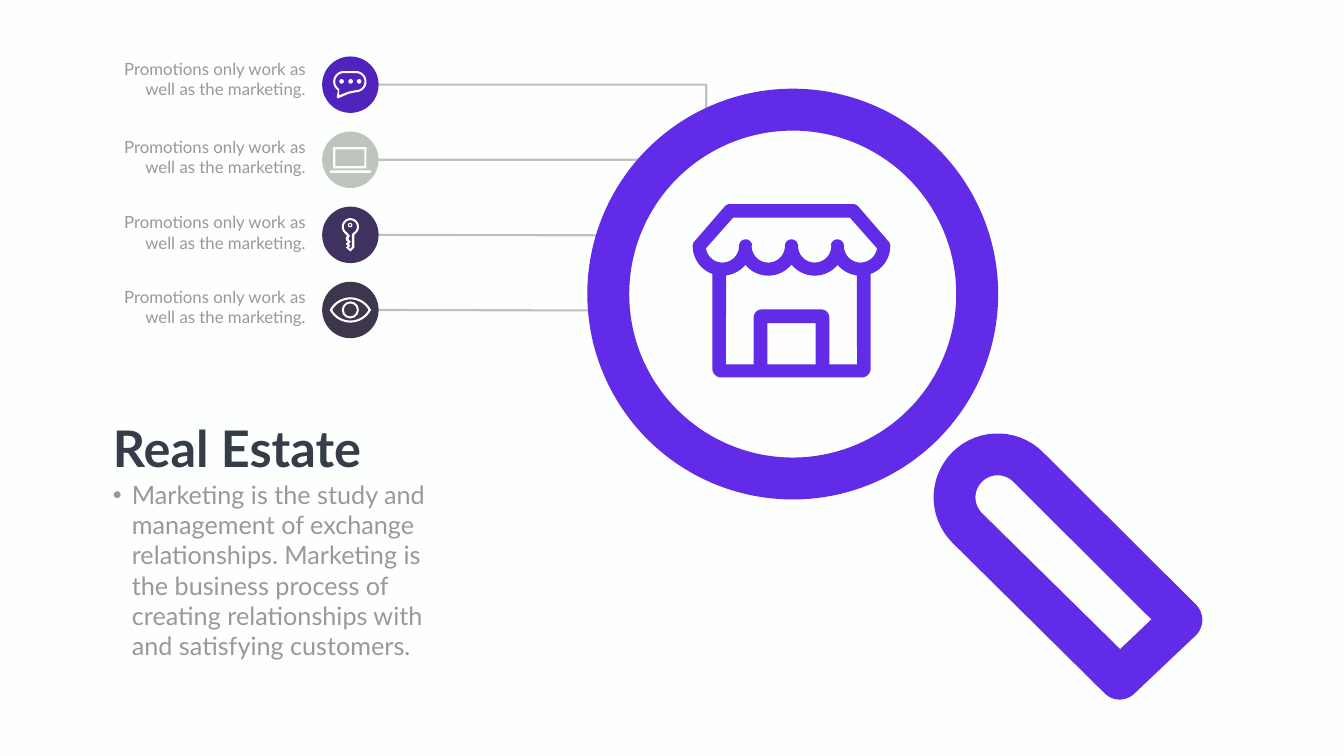
from dataclasses import dataclass
from math import asin, cos, degrees, radians, sin

from lxml import etree
from pptx import Presentation
from pptx.dml.color import RGBColor
from pptx.enum.shapes import MSO_CONNECTOR, MSO_SHAPE
from pptx.enum.text import MSO_ANCHOR, MSO_AUTO_SIZE, PP_ALIGN
from pptx.oxml.ns import qn
from pptx.util import Inches, Pt

VIOLET = RGBColor(0x61, 0x2B, 0xE8)
WHITE = RGBColor(0xFF, 0xFF, 0xFF)
BACKDROP = RGBColor(0xFD, 0xFF, 0xFE)
LEADER_GRAY = RGBColor(0x80, 0x80, 0x80)
TEXT_GRAY = RGBColor(0x9A, 0x98, 0x9A)
TITLE_INK = RGBColor(0x35, 0x3D, 0x49)
FONT = "Lato"
BADGE_X, FIRST_BADGE_Y, BADGE_PITCH, BADGE_SIZE = 6.95, 1.68, 1.49, 1.12
SHOP_X = 15.7

Point = tuple[float, float]
Contour = list[Point]


@dataclass
class Promotion:
    color: RGBColor
    caption_top: float
    leader: Contour  # points after the badge centre


PROMOTIONS = [
    Promotion(RGBColor(0x50, 0x23, 0xBC), 1.11, [(14.01, 1.68), (14.01, 2.49)]),
    Promotion(RGBColor(0xBF, 0xC4, 0xBF), 2.66, [(13.08, 3.17)]),
    Promotion(RGBColor(0x40, 0x32, 0x60), 4.16, [(12.31, 4.67)]),
    Promotion(RGBColor(0x3E, 0x36, 0x4C), 5.64, [(12.04, 6.16)]),
]
CAPTION = "Promotions only work as well as the marketing."
SUMMARY = ("Marketing is the study and management of exchange relationships. "
           "Marketing is the business process of creating relationships with "
           "and satisfying customers.")


# Geometry, in inches; angles run clockwise from the right
def arc(center: Point, radius: float, start: float, end: float) -> Contour:
    steps = max(4, round(abs(end - start) / 6))
    angles = [radians(start + (end - start) * i / steps) for i in range(steps + 1)]
    return [(center[0] + radius * cos(a), center[1] + radius * sin(a)) for a in angles]


def mirrored(right_half: Contour) -> Contour:
    return right_half + [(2 * SHOP_X - x, y) for x, y in reversed(right_half)]


def lens(center: Point, half_width: float, half_height: float) -> Contour:
    radius = (half_width ** 2 + half_height ** 2) / (2 * half_height)
    offset = radius - half_height
    tilt = degrees(asin(offset / radius))
    x, y = center
    return (arc((x, y + offset), radius, 180 + tilt, 360 - tilt)
            + arc((x, y - offset), radius, tilt, 180 - tilt))


# Drawing
def paint(shape, color: RGBColor) -> None:
    shape.shadow.inherit = False
    shape.fill.solid()
    shape.fill.fore_color.rgb = color
    shape.line.fill.background()


def add_preset(slide, kind: MSO_SHAPE, left: float, top: float, width: float,
               height: float, color: RGBColor, adjustment: float | None = None) -> None:
    shape = slide.shapes.add_shape(kind, Inches(left), Inches(top),
                                   Inches(width), Inches(height))
    if adjustment is not None:
        shape.adjustments[0] = adjustment
    paint(shape, color)


def add_outline(slide, contours: list[Contour], close: bool = True):
    paths = [[(Inches(x), Inches(y)) for x, y in contour] for contour in contours]
    builder = slide.shapes.build_freeform(*paths[0][0], scale=1.0)
    builder.add_line_segments(paths[0][1:], close=close)
    for path in paths[1:]:
        builder.move_to(*path[0])
        builder.add_line_segments(path[1:], close=close)
    return builder.convert_to_shape()


def add_leader(slide, points: Contour) -> None:
    if len(points) == 2:
        (x1, y1), (x2, y2) = points
        leader = slide.shapes.add_connector(
            MSO_CONNECTOR.STRAIGHT, Inches(x1), Inches(y1), Inches(x2), Inches(y2))
    else:
        leader = add_outline(slide, [points], close=False)
        leader.fill.background()
    leader.line.color.rgb = LEADER_GRAY
    leader.line.width = Pt(3)
    color = leader.line._ln.find(".//" + qn("a:srgbClr"))
    etree.SubElement(color, qn("a:alpha")).set("val", "50000")
    etree.SubElement(leader._element.spPr, qn("a:effectLst"))


def write(box, text: str, size: int, color: RGBColor, align=PP_ALIGN.LEFT,
          bold: bool = False, wrap: bool = True) -> None:
    frame = box.text_frame
    frame.text = text
    frame.word_wrap = wrap
    frame.auto_size = MSO_AUTO_SIZE.SHAPE_TO_FIT_TEXT
    frame.vertical_anchor = MSO_ANCHOR.TOP
    paragraph = frame.paragraphs[0]
    paragraph.alignment = align
    paragraph.space_before = Pt(0)
    font = paragraph.font
    font.name, font.size, font.bold = FONT, Pt(size), bold
    font.color.rgb = color


def place(box, left: float, top: float, width: float, height: float) -> None:
    box.left, box.top = Inches(left), Inches(top)
    box.width, box.height = Inches(width), Inches(height)


def add_magnifier(slide) -> None:
    grip = (19.79, 9.87)
    handle = (arc(grip, 1.27, 135, 315) + arc((23.42, 12.3), 0.43, -45, 45)
              + arc((22.21, 13.46), 0.42, 45, 135))
    slot = arc(grip, 0.44, 135, 315) + [(22.84, 12.29), (22.22, 12.88)]
    paint(add_outline(slide, [handle, slot]), VIOLET)
    add_preset(slide, MSO_SHAPE.DONUT, 11.65, 1.76, 8.15, 8.15, VIOLET, 0.102)


def add_shop(slide) -> None:
    end_scallop, inner_scallop, post = (17.07, 4.88), (16.16, 4.88), (16.61, 4.88)
    silhouette = (arc((16.92, 4.19), 0.14, -90, -42) + arc((17.53, 4.88), 0.13, -42, 0)
                  + arc(end_scallop, 0.59, 0, 70) + arc((17.09, 7.31), 0.18, 0, 90))
    awning = ([(16.86, 4.32), (17.39, 4.92)] + arc(end_scallop, 0.33, 7, 180)
              + arc(post, 0.13, 0, -180) + arc(inner_scallop, 0.33, 0, 180)
              + arc((SHOP_X, 4.88), 0.13, 0, -90))
    wall = (arc((16.29, 6.3), 0.16, -90, 0) + [(16.45, 7.23), (17, 7.23)]
            + arc(end_scallop, 0.59, 97, 141) + arc(inner_scallop, 0.59, 39, 141))
    door = [(16.18, 6.41), (16.18, 7.23)]
    halves = [silhouette, awning, wall, door]
    paint(add_outline(slide, [mirrored(half) for half in halves]), VIOLET)


def add_icons(slide) -> None:
    # Speech bubble
    right, left = (7.06, 1.62), (6.82, 1.62)
    bubble = (arc(right, 0.21, -90, 90) + [(6.92, 1.86), (6.71, 1.95), (6.68, 1.93)]
              + arc(left, 0.21, 123, 270))
    inside = (arc(right, 0.17, -90, 90) + [(6.91, 1.82), (6.73, 1.89)]
              + arc(left, 0.17, 123, 270))
    paint(add_outline(slide, [bubble, inside]), WHITE)
    for x in (6.73, 6.91, 7.08):
        add_preset(slide, MSO_SHAPE.OVAL, x, 1.57, 0.09, 0.09, WHITE)
    # Laptop
    add_preset(slide, MSO_SHAPE.FRAME, 6.61, 2.92, 0.66, 0.42, WHITE, 0.1)
    add_preset(slide, MSO_SHAPE.ROUNDED_RECTANGLE, 6.54, 3.38, 0.82, 0.05, WHITE, 0.5)
    # Key
    bow = (6.95, 4.5)
    key = arc(bow, 0.17, 125, 415) + [
        (7.03, 4.66), (7.03, 4.91), (6.95, 4.99), (6.86, 4.91), (6.9, 4.88), (6.86, 4.84),
        (6.9, 4.8), (6.86, 4.76), (6.86, 4.71), (6.89, 4.68), (6.84, 4.64)]
    core = arc(bow, 0.13, 115, 420) + [
        (6.98, 4.65), (6.98, 4.9), (6.95, 4.94), (6.92, 4.91), (6.95, 4.87), (6.92, 4.84),
        (6.96, 4.8), (6.91, 4.74), (6.94, 4.68), (6.9, 4.63)]
    paint(add_outline(slide, [key, core]), WHITE)
    add_preset(slide, MSO_SHAPE.DONUT, 6.9, 4.42, 0.09, 0.09, WHITE, 0.25)
    # Eye
    pupil = (6.95, 6.15)
    paint(add_outline(slide, [lens(pupil, 0.41, 0.25), lens(pupil, 0.36, 0.21)]), WHITE)
    add_preset(slide, MSO_SHAPE.DONUT, 6.78, 5.98, 0.34, 0.34, WHITE, 0.12)


def main() -> None:
    deck = Presentation()
    deck.slide_width, deck.slide_height = Inches(26.66), Inches(15)
    slide = deck.slides.add_slide(deck.slide_layouts[1])
    slide.background.fill.solid()
    slide.background.fill.fore_color.rgb = BACKDROP

    # Leaders, then the badges over them
    badge_ys = [FIRST_BADGE_Y + i * BADGE_PITCH for i in range(len(PROMOTIONS))]
    for promotion, y in zip(PROMOTIONS, badge_ys):
        add_leader(slide, [(BADGE_X, y), *promotion.leader])
    for promotion, y in zip(PROMOTIONS, badge_ys):
        add_preset(slide, MSO_SHAPE.OVAL, BADGE_X - BADGE_SIZE / 2, y - BADGE_SIZE / 2,
                   BADGE_SIZE, BADGE_SIZE, promotion.color)

    add_magnifier(slide)
    add_shop(slide)
    add_icons(slide)

    # Captions
    for promotion in PROMOTIONS:
        caption = slide.shapes.add_textbox(0, 0, 0, 0)
        place(caption, 2.14, promotion.caption_top, 4.02, 0.91)
        write(caption, CAPTION, 24, TEXT_GRAY, PP_ALIGN.RIGHT)

    # Title and summary
    title, summary = slide.placeholders
    place(title, 2.14, 8.22, 5.26, 1.31)
    write(title, "Real Estate", 72, TITLE_INK, bold=True, wrap=False)
    place(summary, 2.14, 9.46, 6.54, 3.74)
    properties = summary.text_frame.paragraphs[0]._p.get_or_add_pPr()
    properties.set("marL", "0")
    properties.set("indent", "0")
    etree.SubElement(properties, qn("a:buNone"))
    write(summary, SUMMARY, 36, TEXT_GRAY)

    deck.save("out.pptx")


if __name__ == "__main__":
    main()
